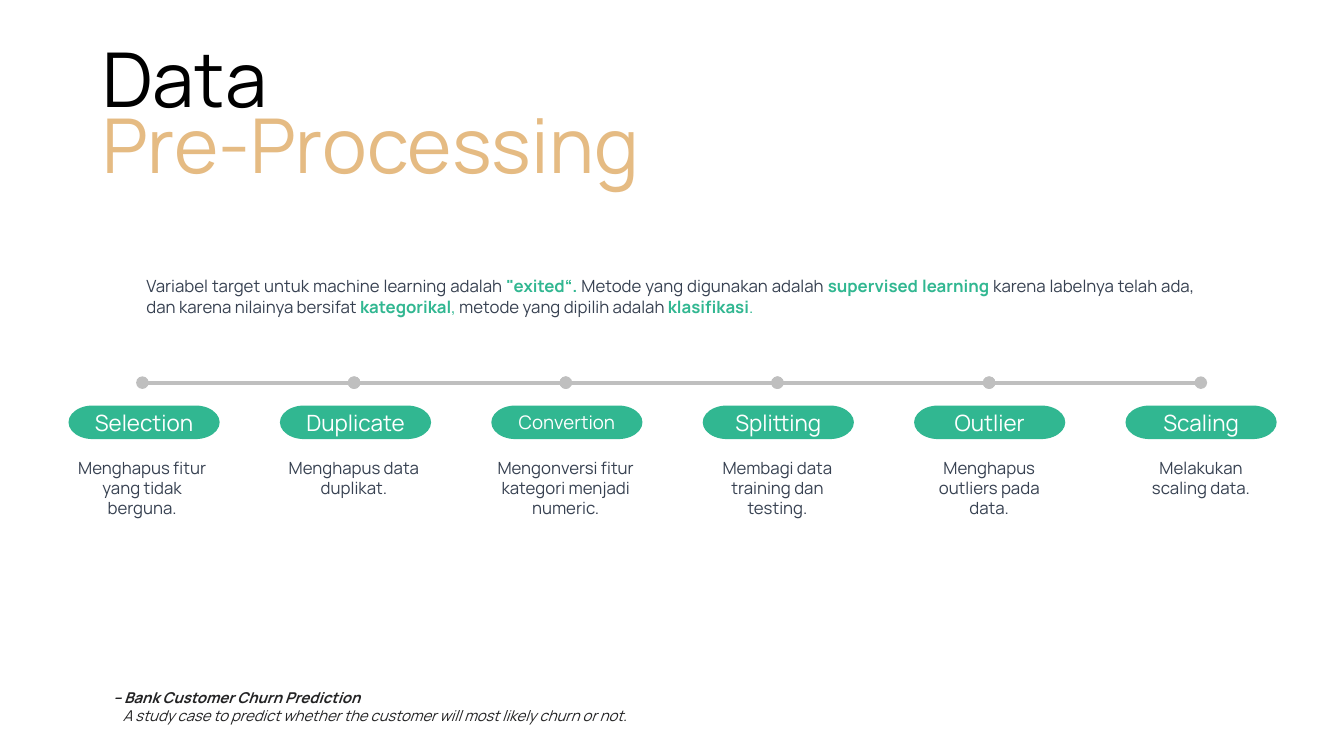
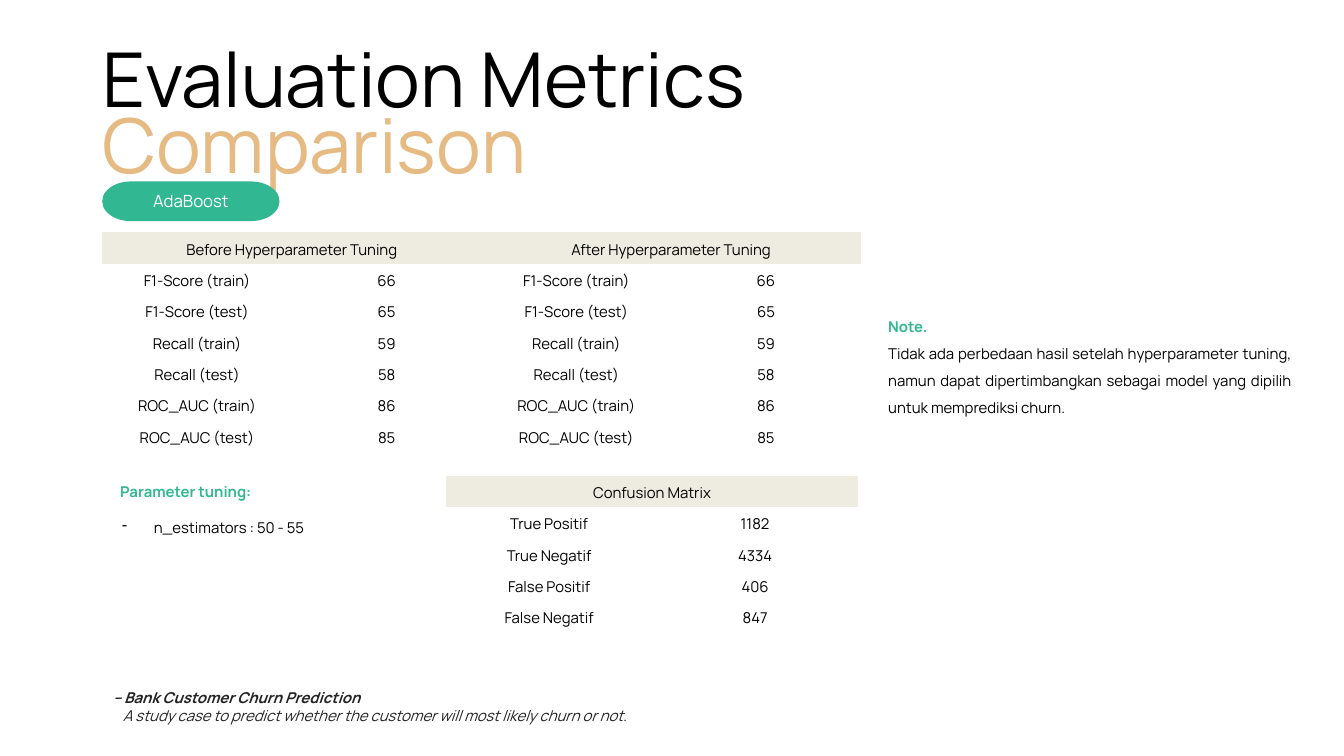
from lxml.etree import SubElement
from pptx import Presentation
from pptx.dml.color import RGBColor
from pptx.enum.shapes import MSO_CONNECTOR, MSO_SHAPE
from pptx.enum.text import MSO_ANCHOR, MSO_AUTO_SIZE, PP_ALIGN
from pptx.oxml.ns import qn
from pptx.util import Pt

COLORS = {
    name: RGBColor.from_string(value)
    for name, value in {
        "black": "000000", "white": "FFFFFF", "sand": "E5BB83", "green": "31B791",
        "slate": "374151", "footer": "232324", "gray": "BFBFBF", "header": "EEECE1",
    }.items()
}
FONT = "Manrope"
NO_STYLE_NO_GRID = "{2D5ABB26-0587-4C30-8999-92F81FD0307C}"
MARGIN = 109.5
ROW_HEIGHT = 33.6


def add_text(slide, box, paragraphs, size, align=PP_ALIGN.LEFT, insets=(7.2, 7.2),
             spacing=None, pill=False):
    """Add a text box or green pill; each paragraph is a list of (text, color, bold)."""
    box = [Pt(length) for length in box]
    if pill:
        shape = slide.shapes.add_shape(MSO_SHAPE.FLOWCHART_TERMINATOR, *box)
        shape.shadow.inherit = False
        shape.fill.solid()
        shape.fill.fore_color.rgb = COLORS["green"]
        shape.line.fill.background()
    else:
        shape = slide.shapes.add_textbox(*box)
    frame = shape.text_frame
    frame.word_wrap = True
    frame.auto_size = MSO_AUTO_SIZE.NONE if pill else MSO_AUTO_SIZE.SHAPE_TO_FIT_TEXT
    frame.vertical_anchor = MSO_ANCHOR.MIDDLE if pill else MSO_ANCHOR.TOP
    frame.margin_left = frame.margin_right = Pt(insets[0])
    frame.margin_top = frame.margin_bottom = Pt(insets[1])
    for index, parts in enumerate(paragraphs):
        paragraph = frame.add_paragraph() if index else frame.paragraphs[0]
        paragraph.alignment = align
        paragraph.line_spacing = spacing
        for text, color, bold in parts:
            run = paragraph.add_run()
            run.text = text
            run.font.name = FONT
            run.font.size = Pt(size)
            run.font.bold = bold
            run.font.color.rgb = COLORS[color]
    return frame


def add_metric_table(slide, left, top, column_width, headers, rows):
    """Add a table whose headers each span a label column and a value column."""
    column_count = 2 * len(headers)
    graphic_frame = slide.shapes.add_table(
        len(rows) + 1, column_count, Pt(left), Pt(top),
        Pt(column_width * column_count), Pt(ROW_HEIGHT * (len(rows) + 1)))
    for style in graphic_frame.element.iter(qn("a:tableStyleId")):
        style.text = NO_STYLE_NO_GRID
    table = graphic_frame.table
    table.first_row = table.horz_banding = False
    for index, header in enumerate(headers):
        table.cell(0, 2 * index).merge(table.cell(0, 2 * index + 1))
        table.cell(0, 2 * index).text = header
    for row_index, (label, value) in enumerate(rows, 1):
        for column in range(0, column_count, 2):
            table.cell(row_index, column).text = label
            table.cell(row_index, column + 1).text = str(value)
    for row_index, row in enumerate(table.rows):
        for cell in row.cells:
            if row_index == 0:
                cell.fill.solid()
                cell.fill.fore_color.rgb = COLORS["header"]
            else:
                cell.fill.background()
            cell.vertical_anchor = MSO_ANCHOR.MIDDLE
            cell.margin_left = cell.margin_right = Pt(7.2)
            cell.margin_top = cell.margin_bottom = Pt(7.2)
            paragraph = cell.text_frame.paragraphs[0]
            paragraph.alignment = PP_ALIGN.CENTER
            for run in paragraph.runs:
                run.font.name = FONT
                run.font.size = Pt(16)
                run.font.color.rgb = COLORS["black"]


presentation = Presentation()
presentation.slide_width, presentation.slide_height = Pt(1440), Pt(810)

# Titles and footers shared by both slides
slides = []
for title, subtitle in [("Data", "Pre-Processing"), ("Evaluation Metrics", "Comparison")]:
    slide = presentation.slides.add_slide(presentation.slide_layouts[6])
    slides.append(slide)
    for text, color, top in [(title, "black", 14.4), (subtitle, "sand", 85)]:
        add_text(slide, (MARGIN, top, 863, 117), [[(text, color, False)]], 81,
                 insets=(0, 0), spacing=1.2)
    footer = add_text(
        slide, (MARGIN, 734.4, 691, 46),
        [[("– Bank Customer Churn Prediction", "footer", True)],
         [("A study case to predict whether the customer will most likely churn or not.",
           "footer", False)]],
        16, insets=(7.2, 3.6))
    for paragraph, indent in zip(footer.paragraphs, (4.5, 15)):
        paragraph._p.get_or_add_pPr().set("marL", str(Pt(indent)))
        for run in paragraph.runs:
            run.font.italic = True
process_slide, metrics_slide = slides

# Pre-processing steps
add_text(process_slide, (149.8, 288.7, 1137, 58), [[
    ("Variabel target untuk machine learning adalah ", "slate", False),
    ('"exited“. ', "green", True),
    ("Metode yang digunakan adalah ", "slate", False),
    ("supervised learning ", "green", True),
    ("karena labelnya telah ada, dan karena nilainya bersifat ", "slate", False),
    ("kategorikal", "green", True),
    (", ", "green", False),
    ("metode yang dipilih adalah ", "slate", False),
    ("klasifikasi", "green", True),
    (".", "green", False),
]], 18, PP_ALIGN.JUSTIFY)

steps = [
    ("Selection", 24, "Menghapus fitur yang tidak berguna."),
    ("Duplicate", 24, "Menghapus data duplikat."),
    ("Convertion", 20, "Mengonversi fitur kategori menjadi numeric."),
    ("Splitting", 24, "Membagi data training dan testing."),
    ("Outlier", 24, "Menghapus outliers pada data."),
    ("Scaling", 24, "Melakukan scaling data."),
]
TIMELINE_LEFT, TIMELINE_TOP, TIMELINE_STEP = 152.6, 410, 226.8
for index in range(len(steps) - 1):
    start = TIMELINE_LEFT + index * TIMELINE_STEP
    connector = process_slide.shapes.add_connector(
        MSO_CONNECTOR.STRAIGHT, Pt(start), Pt(TIMELINE_TOP),
        Pt(start + TIMELINE_STEP), Pt(TIMELINE_TOP))
    connector.line.color.rgb = COLORS["gray"]
    connector.line.width = Pt(4.5)
    properties = connector.element.spPr
    for end in ("a:headEnd", "a:tailEnd"):
        SubElement(properties.find(qn("a:ln")), qn(end), type="oval")
    SubElement(properties, qn("a:effectLst"))

for index, (name, size, description) in enumerate(steps):
    add_text(process_slide, (73.4 + index * 226.5, 434.5, 162, 36),
             [[(name, "white", False)]], size, PP_ALIGN.CENTER, (7.2, 3.6), pill=True)
    add_text(process_slide, (71.3 + index * 226.9, 483, 162, 80),
             [[(description, "slate", False)]], 18, PP_ALIGN.CENTER)

# Model metrics
add_text(metrics_slide, (944.6, 324, 446.4, 131), [
    [("Note.", "green", True)],
    [("Tidak ada perbedaan hasil setelah hyperparameter tuning, namun dapat "
      "dipertimbangkan sebagai model yang dipilih untuk memprediksi churn.",
      "black", False)],
], 16, PP_ALIGN.JUSTIFY, spacing=1.5)
add_text(metrics_slide, (MARGIN, 194.4, 190, 42.5), [[("AdaBoost", "white", False)]],
         18, PP_ALIGN.CENTER, (7.2, 3.6), pill=True)

add_metric_table(
    metrics_slide, MARGIN, 249, 203.2,
    ["Before Hyperparameter Tuning", "After Hyperparameter Tuning"],
    [("F1-Score (train)", 66), ("F1-Score (test)", 65),
     ("Recall (train)", 59), ("Recall (test)", 58),
     ("ROC_AUC (train)", 86), ("ROC_AUC (test)", 85)])

tuning = add_text(metrics_slide, (121.7, 509.8, 357.8, 72.7), [
    [("Parameter tuning:", "green", True)],
    [("n_estimators : 50 - 55", "black", False)],
], 16)
bullet_paragraph = tuning.paragraphs[1]
bullet_paragraph.space_before = Pt(19.2)
bullet_properties = bullet_paragraph._p.get_or_add_pPr()
bullet_properties.set("marL", str(Pt(36)))
bullet_properties.set("indent", str(Pt(-34)))
bullet_color = SubElement(bullet_properties, qn("a:buClr"))
SubElement(bullet_color, qn("a:srgbClr"), val=str(COLORS["black"]))
SubElement(bullet_properties, qn("a:buChar"), char="-")

add_metric_table(
    metrics_slide, 478, 509.8, 220.7, ["Confusion Matrix"],
    [("True Positif", 1182), ("True Negatif", 4334),
     ("False Positif", 406), ("False Negatif", 847)])

presentation.save("out.pptx")
